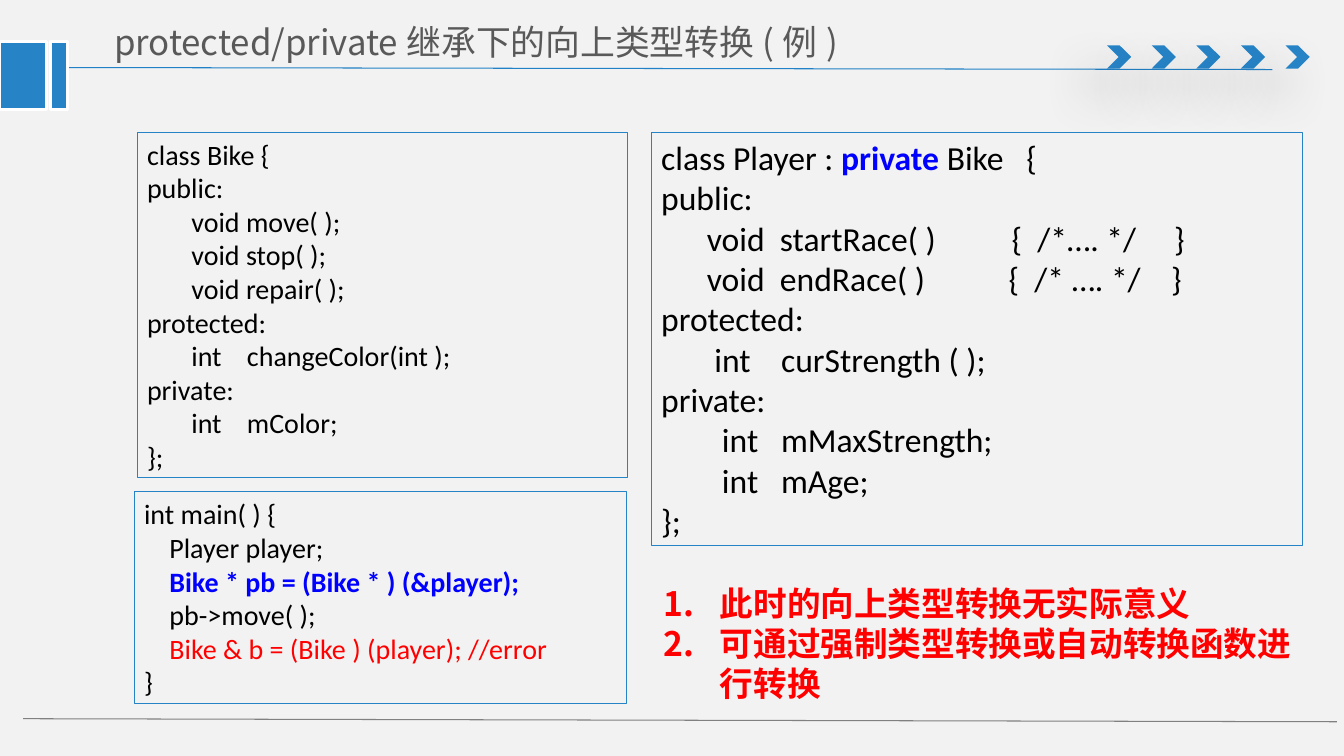
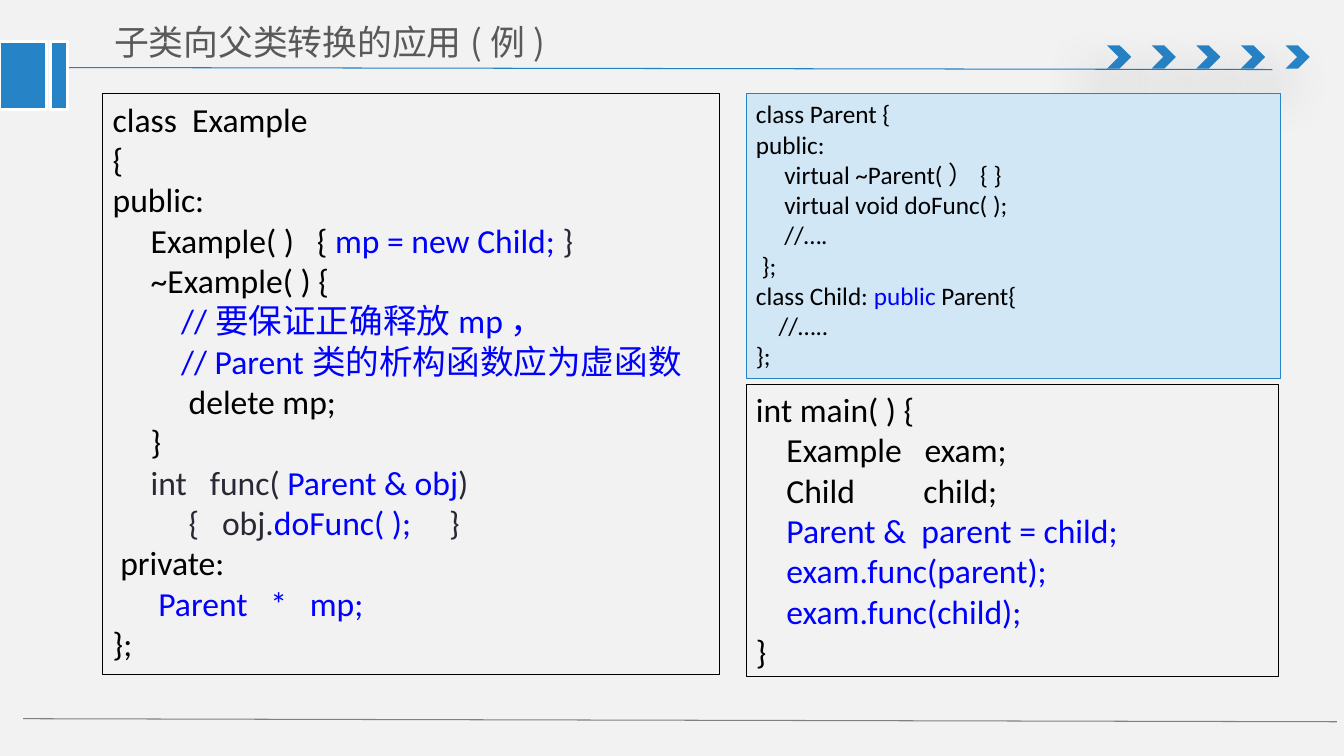
from dataclasses import dataclass

from lxml.etree import SubElement
from pptx import Presentation
from pptx.dml.color import RGBColor
from pptx.enum.shapes import MSO_CONNECTOR, MSO_SHAPE
from pptx.enum.text import MSO_ANCHOR, MSO_AUTO_SIZE, PP_ALIGN
from pptx.oxml.ns import qn
from pptx.util import Inches, Pt


@dataclass(frozen=True)
class Theme:
    paper: RGBColor = RGBColor.from_string("F2F2F2")
    accent: RGBColor = RGBColor.from_string("2683C6")
    rule: RGBColor = RGBColor.from_string("2181C6")
    foot: RGBColor = RGBColor.from_string("808080")
    pale: RGBColor = RGBColor.from_string("D1E7F6")
    white: RGBColor = RGBColor.from_string("FFFFFF")
    title: RGBColor = RGBColor.from_string("595959")
    ink: RGBColor = RGBColor.from_string("000000")
    soft: RGBColor = RGBColor.from_string("292834")
    blue: RGBColor = RGBColor.from_string("0000FF")
    red: RGBColor = RGBColor.from_string("FF0000")
    code_face: str = "Calibri"
    text_face: str = "Noto Sans CJK SC"
    title_size: float = 24.9
    large: float = 24
    medium: float = 20
    small: float = 18
    line_pitch: float = 1.2
    hairline: float = 0.75


theme = Theme()
deck = Presentation()
deck.slide_width, deck.slide_height = Inches(13.33), Inches(7.5)


def share(*percents):
    sides = (deck.slide_width, deck.slide_height) * 2
    return [round(side * percent / 100) for side, percent in zip(sides, percents)]


def write(frame, lines, size, face, colour, bold=False, numbered=False):
    frame.word_wrap = True
    frame.auto_size = MSO_AUTO_SIZE.NONE
    for index, line in enumerate(lines):
        para = frame.paragraphs[0] if index == 0 else frame.add_paragraph()
        para.alignment = PP_ALIGN.LEFT
        para.space_before = Pt(0)
        para.line_spacing = Pt(size * theme.line_pitch)
        properties = para._p.get_or_add_pPr()
        if numbered:
            properties.set("marL", str(Inches(0.56)))
            properties.set("indent", str(-Inches(0.56)))
            SubElement(properties, qn("a:buAutoNum"), type="arabicPeriod")
        para.font.size = Pt(size)
        para.font.bold = bold
        para.font.color.rgb = colour
        para.font.name = face
        SubElement(properties.find(qn("a:defRPr")), qn("a:ea"), typeface=theme.text_face)
        for span in [line] if isinstance(line, str) else line:
            text, *style = [span] if isinstance(span, str) else span
            run = para.add_run()
            run.text = text
            if style:
                run.font.color.rgb = style[0]
                if "bold" in style:
                    run.font.bold = True


pages = [
    {
        "layout": 1,
        "title": "protected/private继承下的向上类型转换(例)",
        "title_width": 61.59,
        "notes": ["此时的向上类型转换无实际意义", "可通过强制类型转换或自动转换函数进行转换"],
        "boxes": [
            ((10.2, 17.47, 36.46, 45.73), theme.medium, theme.accent, None, [
                "class Bike {",
                "public:",
                "       void move( );",
                "       void stop( );",
                "       void repair( );",
                "protected:",
                "       int    changeColor(int );",
                "private:",
                "       int    mColor;",
                "};",
            ]),
            ((48.46, 17.47, 48.46, 54.67), theme.large, theme.accent, None, [
                ["class Player : ", ("private ", theme.blue, "bold"), "Bike   {"],
                "public:",
                "      void  startRace( )          {  /*…. */     }",
                "      void  endRace( )           {  /* …. */    }",
                "protected:",
                "       int    curStrength ( );",
                "private:",
                "        int   mMaxStrength;",
                "        int   mAge;",
                "};",
            ]),
            ((9.98, 65.07, 36.61, 28), theme.medium, theme.accent, None, [
                "int main( ) {",
                "    Player player;",
                [("    Bike * pb = (Bike * ) (&player);", theme.blue, "bold")],
                "    pb->move( );",
                [("    Bike & b = (Bike ) (player); //error", theme.red)],
                "}",
            ]),
        ],
    },
    {
        "layout": 5,
        "title": "子类向父类转换的应用(例)",
        "title_width": 34.73,
        "notes": [],
        "boxes": [
            ((7.65, 12.4, 45.91, 76.8), theme.large, theme.ink, None, [
                "class  Example",
                "{",
                "public:",
                ["     Example( )   { ", ("mp = new Child;", theme.blue), (" }", theme.soft)],
                "     ~Example( ) {",
                [("         //要保证正确释放mp，", theme.blue)],
                [("         // Parent类的析构函数应为虚函数", theme.blue)],
                "          delete mp;",
                "     }",
                [("     int   func( ", theme.soft), ("Parent & obj", theme.blue), (")", theme.soft)],
                [("          {   obj.", theme.soft), ("doFunc( );", theme.blue), ("     }", theme.soft)],
                " private:",
                [("      Parent   *   mp;", theme.blue)],
                "};",
            ]),
            ((55.51, 12.4, 39.76, 37.73), theme.small, theme.accent, theme.pale, [
                "class Parent {",
                "public:",
                "     virtual ~Parent(）{ }",
                "     virtual void doFunc( );",
                "     //….",
                " };",
                ["class Child: ", ("public", theme.blue), " Parent{"],
                "    //…..",
                "};",
            ]),
            ((55.51, 50.8, 39.61, 38.67), theme.large, theme.ink, None, [
                "int main( ) {",
                "    Example   exam;",
                "    Child         child;",
                [("    Parent &  parent = child;", theme.blue)],
                [("    exam.func(parent);", theme.blue)],
                [("    exam.func(child);", theme.blue)],
                "}",
            ]),
        ],
    },
]

slides = [deck.slides.add_slide(deck.slide_layouts[page["layout"]]) for page in pages]
master = deck.slide_master
master.background.fill.solid()
master.background.fill.fore_color.rgb = theme.paper
canvas = slides[0].shapes
decorations = []

for ends, colour in [
    ((3.98, 8.93, 94.67, 9.2), theme.rule),
    ((1.73, 95.07, 99.47, 95.47), theme.foot),
]:
    rule = canvas.add_connector(MSO_CONNECTOR.STRAIGHT, *share(*ends))
    rule.line.color.rgb = colour
    rule.line.width = Pt(theme.hairline)
    SubElement(rule.element.spPr, qn("a:effectLst"))
    decorations.append(rule)

for column in range(5):
    chevron = canvas.add_shape(MSO_SHAPE.CHEVRON, *share(82.37 + 3.32 * column, 6, 1.8, 3.07))
    chevron.fill.solid()
    chevron.fill.fore_color.rgb = theme.accent
    chevron.line.fill.background()
    chevron.shadow.inherit = False
    shadow = SubElement(
        chevron.element.spPr.find(qn("a:effectLst")), qn("a:outerShdw"),
        blurRad=str(Pt(36)), dist=str(Pt(24)), dir=str(130 * 60000), algn="ctr", rotWithShape="0",
    )
    shade = SubElement(shadow, qn("a:srgbClr"), val=str(theme.ink))
    SubElement(shade, qn("a:alpha"), val="38000")
    decorations.append(chevron)

for left, width in [(0, 3.45), (3.75, 1.28)]:
    band = canvas.add_shape(MSO_SHAPE.RECTANGLE, *share(left, 5.47, width, 9.07))
    band.fill.solid()
    band.fill.fore_color.rgb = theme.accent
    band.line.color.rgb = theme.white
    band.line.width = Pt(2)
    band.shadow.inherit = False
    decorations.append(band)

for number, decoration in enumerate(decorations, start=20):
    decoration.element.xpath("./*/p:cNvPr")[0].set("id", str(number))
    master.shapes.element.append(decoration.element)

for slide, page in zip(slides, pages):
    title = slide.shapes.title
    title.left, title.top, title.width, title.height = share(7.43, 1.87, page["title_width"], 7.33)
    frame = title.text_frame
    frame.margin_left = frame.margin_right = Inches(0.14)
    frame.margin_top = frame.margin_bottom = Inches(0.07)
    frame.vertical_anchor = MSO_ANCHOR.MIDDLE
    write(frame, [page["title"]], theme.title_size, theme.text_face, theme.title)

    for place, size, border, fill, lines in page["boxes"]:
        box = slide.shapes.add_shape(MSO_SHAPE.RECTANGLE, *share(*place))
        box.shadow.inherit = False
        box.line.color.rgb = border
        box.line.width = Pt(theme.hairline)
        if fill is None:
            box.fill.background()
        else:
            box.fill.solid()
            box.fill.fore_color.rgb = fill
        box.text_frame.vertical_anchor = MSO_ANCHOR.TOP
        write(box.text_frame, lines, size, theme.code_face, theme.ink)

    if page["notes"]:
        body = slide.placeholders[1]
        body.left, body.top, body.width, body.height = share(48.61, 76.4, 48.31, 17.73)
        body.text_frame.vertical_anchor = MSO_ANCHOR.TOP
        write(body.text_frame, page["notes"], theme.large, theme.text_face, theme.red, bold=True, numbered=True)

deck.save("out.pptx")
